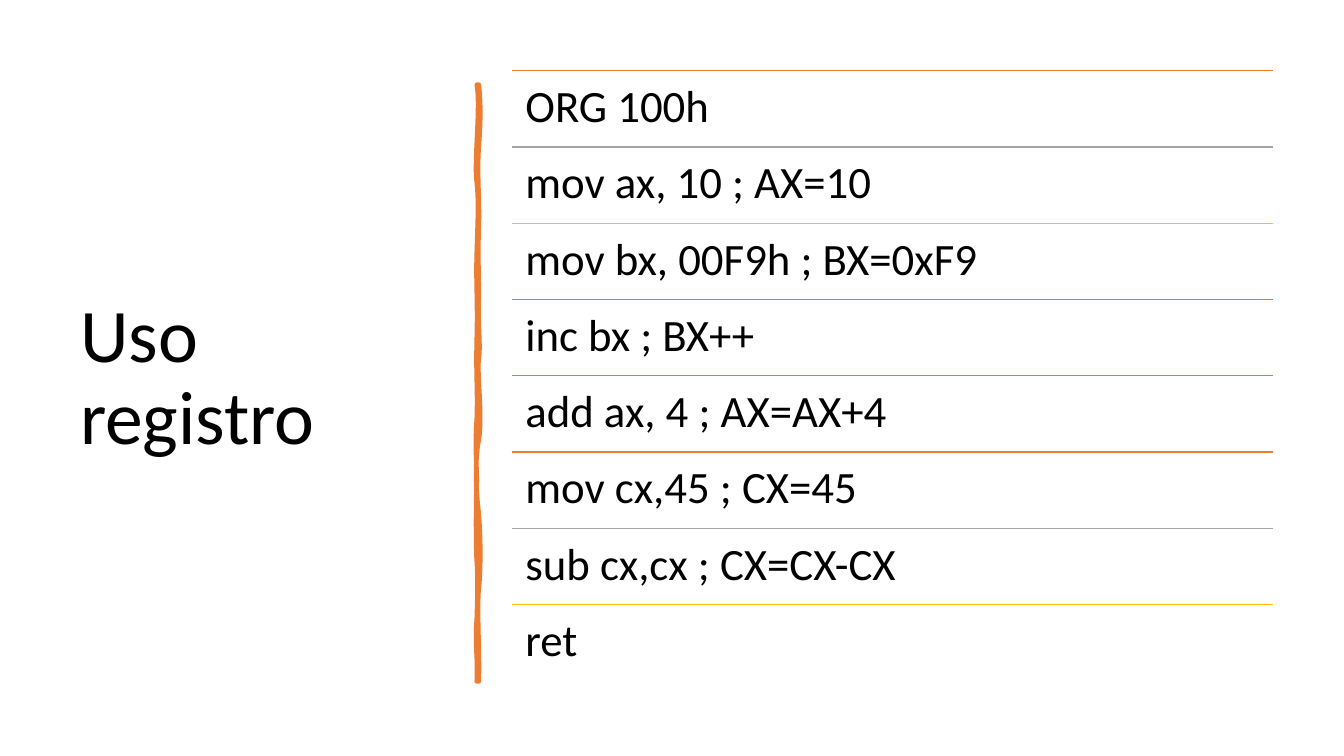
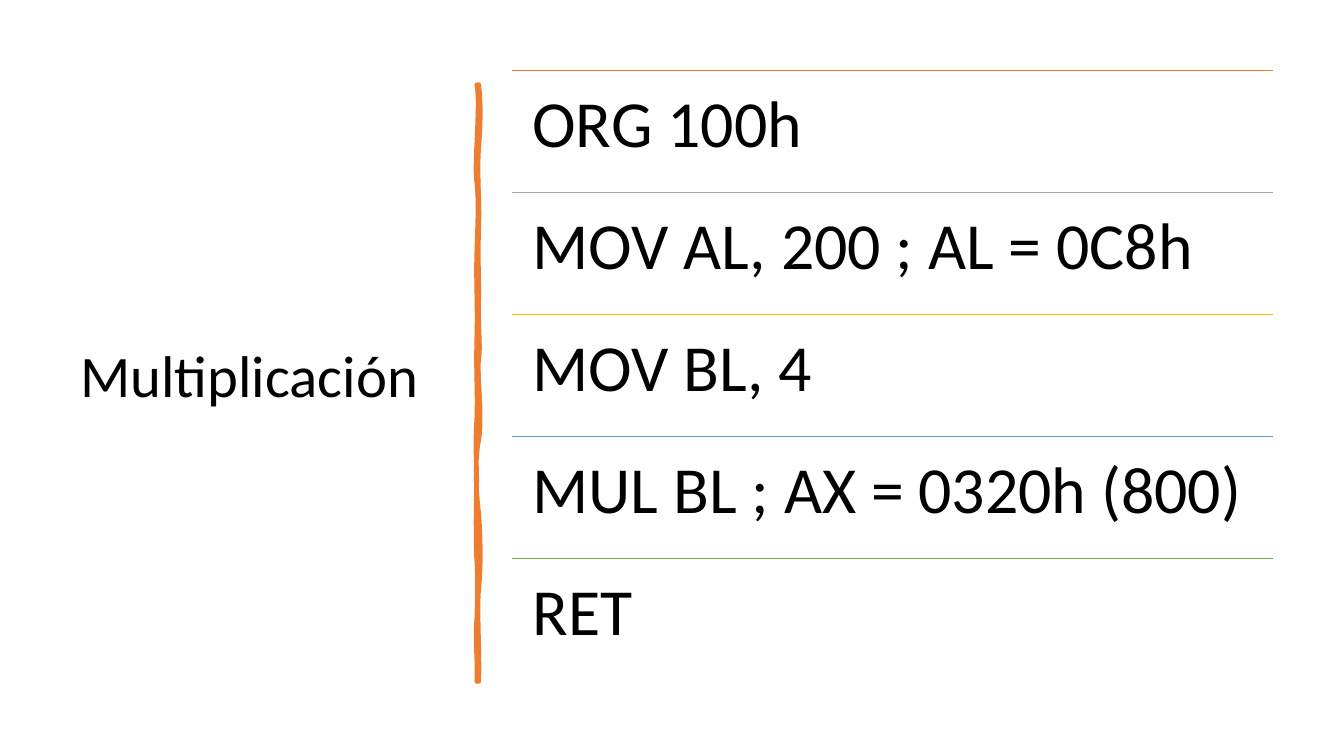
from dataclasses import dataclass
from itertools import cycle

from lxml.etree import SubElement
from pptx import Presentation
from pptx.dml.color import RGBColor
from pptx.enum.shapes import MSO_CONNECTOR as CONNECTOR
from pptx.enum.text import MSO_ANCHOR as ANCHOR, MSO_AUTO_SIZE as AUTO_SIZE, PP_ALIGN as ALIGN
from pptx.oxml.ns import qn
from pptx.slide import Slide
from pptx.text.text import TextFrame
from pptx.util import Inches, Pt

BLACK = RGBColor(0x00, 0x00, 0x00)
ORANGE = RGBColor(0xED, 0x7D, 0x31)
GRAY = RGBColor(0xA5, 0xA5, 0xA5)
GOLD = RGBColor(0xFF, 0xC0, 0x00)
BLUE = RGBColor(0x5B, 0x9B, 0xD5)
GREEN = RGBColor(0x70, 0xAD, 0x47)
RULE_COLORS = (ORANGE, GRAY, GOLD, BLUE, GREEN)

FONT = "Calibri"
TITLE_ONLY = 5

# Slide layout, in points.
SLIDE_SIZE = (960, 540)
TITLE_BOX = (50, 50.5, 269, 440)
LIST_LEFT, LIST_TOP, LIST_WIDTH, LIST_HEIGHT = 365.9, 50.5, 543.6, 435.8

# Hand-drawn bar, in inches: each curve is two control points and an end point.
BAR_START = (4.75, 0.84)
BAR_CURVES = (
    (4.77, 1.02, 4.77, 1.19, 4.75, 1.46),
    (4.73, 1.73, 4.76, 1.95, 4.75, 2.26),
    (4.74, 2.57, 4.75, 2.62, 4.75, 2.94),
    (4.74, 3.25, 4.77, 3.42, 4.75, 3.56),
    (4.73, 3.70, 4.79, 4.14, 4.75, 4.36),
    (4.71, 4.57, 4.72, 4.84, 4.75, 5.10),
    (4.77, 5.36, 4.77, 5.64, 4.75, 5.84),
    (4.73, 6.03, 4.76, 6.50, 4.75, 6.76),
    (4.74, 6.76, 4.73, 6.76, 4.73, 6.76),
    (4.74, 6.46, 4.71, 6.44, 4.73, 6.13),
    (4.74, 5.83, 4.74, 5.70, 4.73, 5.57),
    (4.72, 5.44, 4.72, 4.95, 4.73, 4.77),
    (4.73, 4.59, 4.71, 4.45, 4.73, 4.15),
    (4.74, 3.86, 4.72, 3.73, 4.73, 3.35),
    (4.74, 2.98, 4.72, 2.81, 4.73, 2.50),
    (4.74, 2.18, 4.75, 2.00, 4.73, 1.81),
    (4.70, 1.63, 4.77, 1.04, 4.73, 0.84),
)


@dataclass(frozen=True)
class CodeSlide:
    title: str
    title_size: int
    code_size: int
    inset: float
    lines: tuple[str, ...]


CODE_SLIDES = (
    CodeSlide("Uso registro", 54, 32, 0.13, (
        "ORG 100h",
        "mov ax, 10 ; AX=10",
        "mov bx, 00F9h ; BX=0xF9",
        "inc bx ; BX++",
        "add ax, 4 ; AX=AX+4",
        "mov cx,45 ; CX=45",
        "sub cx,cx ; CX=CX-CX",
        "ret",
    )),
    CodeSlide("Multiplicación", 42, 47, 0.2, (
        "ORG 100h",
        "MOV AL, 200 ; AL = 0C8h",
        "MOV BL, 4",
        "MUL BL ; AX = 0320h (800)",
        "RET",
    )),
)


def write_text(tf: TextFrame, text: str, size: int) -> None:
    tf.word_wrap = True
    tf.auto_size = AUTO_SIZE.NONE
    p = tf.paragraphs[0]
    p.alignment = ALIGN.LEFT
    p.line_spacing = 0.9
    r = p.add_run()
    r.text = text
    r.font.name = FONT
    r.font.size = Pt(size)
    r.font.color.rgb = BLACK


def add_title(slide: Slide, text: str, size: int) -> None:
    sp = slide.shapes.title
    sp.left, sp.top, sp.width, sp.height = map(Pt, TITLE_BOX)
    sp.text_frame.vertical_anchor = ANCHOR.MIDDLE
    write_text(sp.text_frame, text, size)


def add_bar(slide: Slide) -> None:
    """Draw the bar's outline, then bend each straight segment into its curve."""
    builder = slide.shapes.build_freeform(*map(Inches, BAR_START))
    builder.add_line_segments(
        [(Inches(curve[4]), Inches(curve[5])) for curve in BAR_CURVES], close=True)
    sp = builder.convert_to_shape()
    segments = list(sp._element.iter(qn("a:lnTo")))
    for segment, curve in zip(segments, BAR_CURVES):
        bend = segment.makeelement(qn("a:cubicBezTo"))
        for x, y in zip(curve[::2], curve[1::2]):
            SubElement(bend, qn("a:pt"), x=str(Inches(x) - sp.left),
                       y=str(Inches(y) - sp.top))
        segment.getparent().replace(segment, bend)
    sp.shadow.inherit = False
    sp.fill.solid()
    sp.fill.fore_color.rgb = ORANGE
    sp.line.color.rgb = ORANGE
    sp.line.width = Pt(3.25)
    SubElement(sp._element.spPr.find(qn("a:ln")), qn("a:round"))


def add_rule(slide: Slide, top: float, color: RGBColor) -> None:
    line = slide.shapes.add_connector(
        CONNECTOR.STRAIGHT, Pt(LIST_LEFT), Pt(top),
        Pt(LIST_LEFT + LIST_WIDTH), Pt(top))
    line.line.color.rgb = color
    line.line.width = Pt(1)
    SubElement(line._element.spPr, qn("a:effectLst"))


def add_code_list(slide: Slide, content: CodeSlide) -> None:
    """Share the list's height equally, with a coloured rule above each line."""
    row_height = LIST_HEIGHT / len(content.lines)
    for row, (text, color) in enumerate(zip(content.lines, cycle(RULE_COLORS))):
        top = LIST_TOP + row * row_height
        add_rule(slide, top, color)
        sp = slide.shapes.add_textbox(Pt(LIST_LEFT), Pt(top),
                                      Pt(LIST_WIDTH), Pt(row_height))
        tf = sp.text_frame
        tf.margin_left = tf.margin_right = Inches(content.inset)
        tf.margin_top = tf.margin_bottom = Inches(content.inset)
        write_text(tf, text, content.code_size)


def main() -> None:
    prs = Presentation()
    prs.slide_width, prs.slide_height = map(Pt, SLIDE_SIZE)
    for content in CODE_SLIDES:
        slide = prs.slides.add_slide(prs.slide_layouts[TITLE_ONLY])
        add_title(slide, content.title, content.title_size)
        add_bar(slide)
        add_code_list(slide, content)
    prs.save("out.pptx")


if __name__ == "__main__":
    main()
